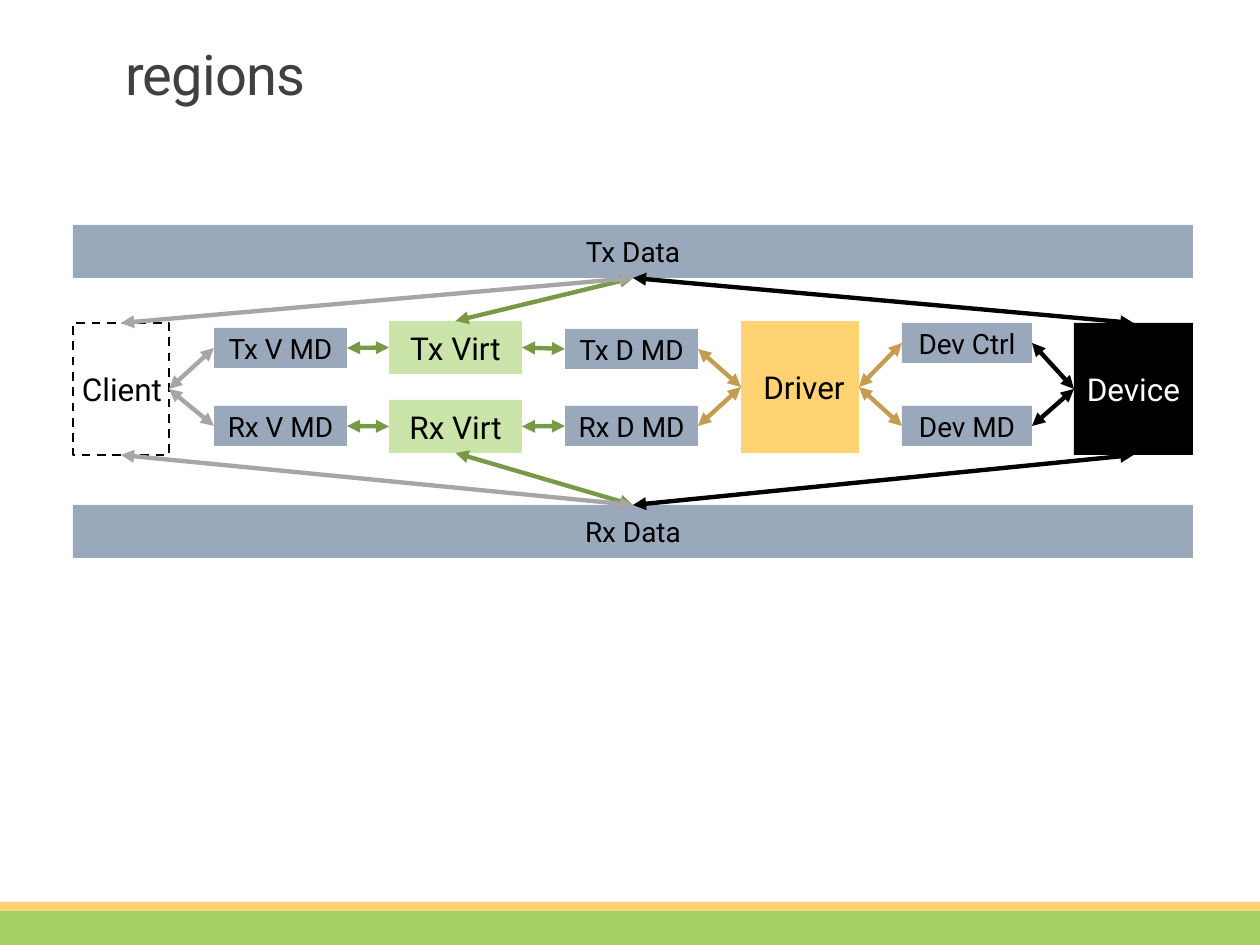
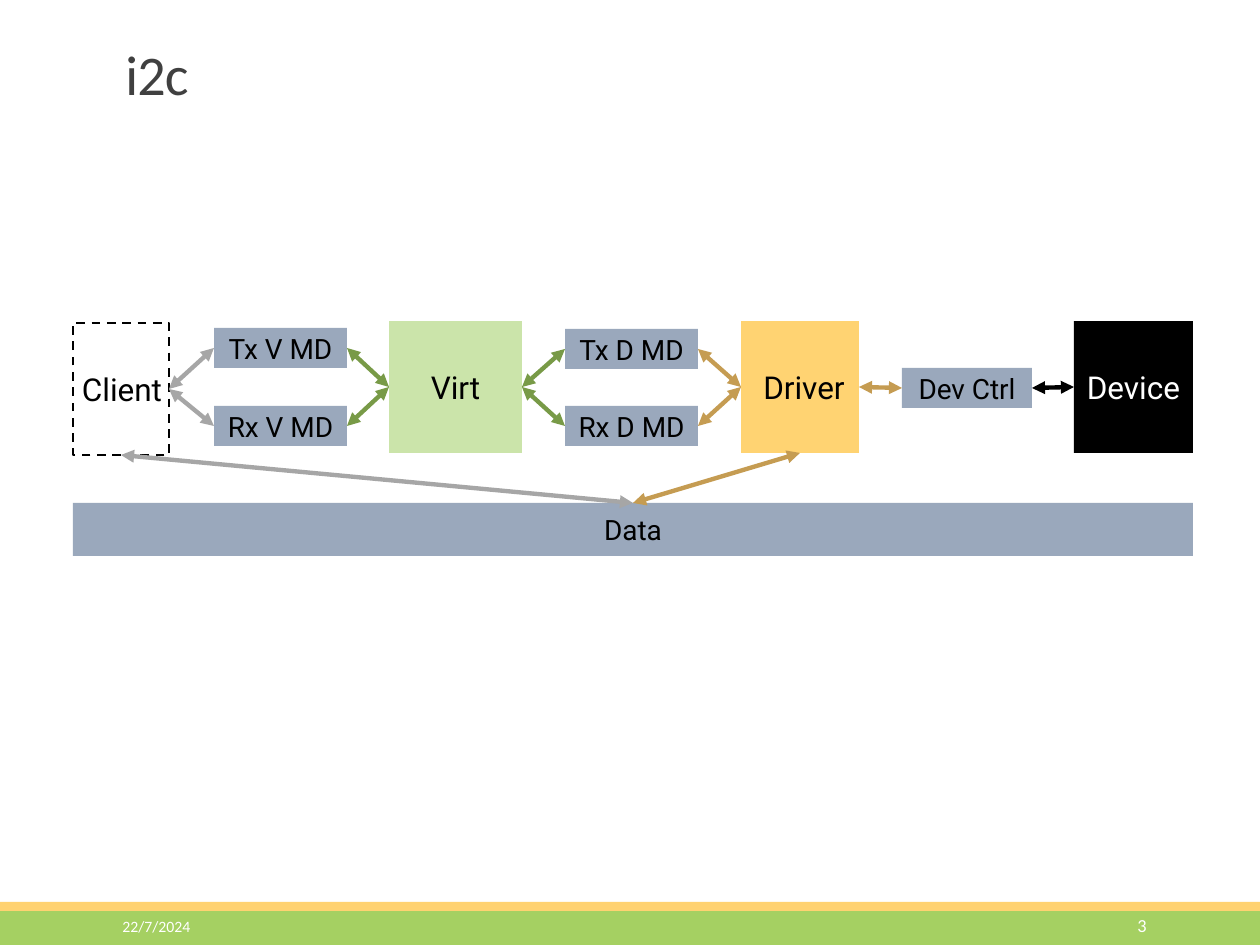
"""Builds two diagrams of the memory regions that driver components share."""

from dataclasses import dataclass, replace
from enum import IntEnum

from pptx import Presentation
from pptx.dml.color import RGBColor
from pptx.enum.dml import MSO_LINE
from pptx.enum.shapes import MSO_CONNECTOR, MSO_SHAPE
from pptx.enum.text import MSO_ANCHOR as ANCHOR, PP_ALIGN as ALIGN
from pptx.oxml.ns import qn
from pptx.oxml.xmlchemy import OxmlElement
from pptx.shapes.autoshape import Shape
from pptx.shapes.connector import Connector
from pptx.slide import Slide
from pptx.util import Emu, Pt

PX_PER_INCH = 126
WIDTH, HEIGHT = 1260, 945

BLACK, WHITE, TITLE_GREY = "000000", "FFFFFF", "404040"
BAND_GREEN, BAND_YELLOW = "A5D062", "FFD271"
REGION_BLUE, VIRT_GREEN, DRIVER_YELLOW = "9AA8BC", "CBE4AA", "FFD372"
CLIENT_LINK, VIRT_LINK, DRIVER_LINK = "A6A6A6", "789A47", "C59C52"
ROBOTO, CALIBRI = "Roboto", "Calibri"


class Side(IntEnum):
    TOP = 0
    LEFT = 1
    BOTTOM = 2
    RIGHT = 3


@dataclass(frozen=True)
class Box:
    name: str
    x: int
    y: int
    w: int
    h: int
    fill: str = REGION_BLUE
    size: int = 16
    color: str = BLACK
    dashed: bool = False
    insets: tuple[int, int] = (12, 12)


@dataclass(frozen=True)
class Link:
    start: str
    start_side: Side
    end: str
    end_side: Side
    color: str


@dataclass(frozen=True)
class Label:
    text: str
    x: int
    y: int
    w: int
    h: int
    size: float
    font: str = CALIBRI
    color: str = WHITE
    align: ALIGN = ALIGN.LEFT
    anchor: ANCHOR = ANCHOR.MIDDLE


def px(value: int) -> Emu:
    return Emu(round(value * 914400 / PX_PER_INCH))


def rgb(color: str) -> RGBColor:
    return RGBColor.from_string(color)


def set_text(sp: Shape, text: str, size: float, font: str, color: str,
             align: ALIGN, anchor: ANCHOR) -> None:
    tf = sp.text_frame
    tf.word_wrap = True
    tf.vertical_anchor = anchor
    p = tf.paragraphs[0]
    p.text = text
    p.alignment = align
    p.font.size = Pt(size)
    p.font.name = font
    p.font.color.rgb = rgb(color)


def add_rect(s: Slide, x: int, y: int, w: int, h: int, fill: str) -> Shape:
    sp = s.shapes.add_shape(MSO_SHAPE.RECTANGLE, px(x), px(y), px(w), px(h))
    sp.shadow.inherit = False
    sp.fill.solid()
    sp.fill.fore_color.rgb = rgb(fill)
    sp.line.fill.background()
    return sp


def add_box(s: Slide, box: Box) -> Shape:
    sp = add_rect(s, box.x, box.y, box.w, box.h, box.fill)
    if box.dashed:
        sp.line.color.rgb = rgb(BLACK)
        sp.line.width = Pt(1.25)
        sp.line.dash_style = MSO_LINE.DASH
    set_text(sp, box.name, box.size, ROBOTO, box.color, ALIGN.CENTER, ANCHOR.MIDDLE)
    tf = sp.text_frame
    tf.margin_left, tf.margin_right = map(px, box.insets)
    return sp


def add_link(s: Slide, link: Link, shapes: dict[str, Shape]) -> Connector:
    cxn = s.shapes.add_connector(MSO_CONNECTOR.STRAIGHT, 0, 0, 0, 0)
    cxn.begin_connect(shapes[link.start], link.start_side)
    cxn.end_connect(shapes[link.end], link.end_side)
    cxn.line.color.rgb = rgb(link.color)
    cxn.line.width = Pt(2.5)
    ln = cxn.line._get_or_add_ln()
    for tag in ("a:headEnd", "a:tailEnd"):
        arrow = OxmlElement(tag)
        arrow.set("type", "triangle")
        ln.append(arrow)
    cxn._element.find(qn("p:spPr")).append(OxmlElement("a:effectLst"))
    return cxn


def add_label(s: Slide, label: Label) -> Shape:
    sp = s.shapes.add_textbox(px(label.x), px(label.y), px(label.w), px(label.h))
    set_text(sp, label.text, label.size, label.font, label.color, label.align, label.anchor)
    return sp


def add_title(s: Slide, text: str, font: str) -> None:
    sp = add_label(s, Label(text, 113, 44, 784, 69, 32, font, TITLE_GREY,
                            anchor=ANCHOR.BOTTOM))
    p = sp.text_frame.paragraphs[0]
    p.line_spacing = 0.85
    p.runs[0]._r.get_or_add_rPr().set("spc", "-50")


def add_diagram(prs: Presentation, title: str, font: str,
                boxes: list[Box], links: list[Link]) -> Slide:
    s = prs.slides.add_slide(prs.slide_layouts[6])
    add_rect(s, 0, 908, WIDTH, HEIGHT - 908, BAND_GREEN)
    add_rect(s, 0, 902, WIDTH, 9, BAND_YELLOW)
    add_title(s, title, font)
    shapes = {box.name: add_box(s, box) for box in boxes}
    for link in links:
        add_link(s, link, shapes)
    return s


def data_bar(name: str, y: int) -> Box:
    return Box(name, 73, y, 1120, 53)


def virt(name: str, y: int, h: int) -> Box:
    return Box(name, 389, y, 133, h, VIRT_GREEN, 18)


DEVICE = Box("Device", 1074, 323, 119, 132, BLACK, 18, WHITE)
DEV_CTRL = Box("Dev Ctrl", 902, 323, 130, 40)
SHARED_BOXES = [
    Box("Client", 73, 323, 96, 132, WHITE, 18, dashed=True, insets=(6, 4)),
    Box("Driver", 741, 321, 118, 132, DRIVER_YELLOW, 18, insets=(20, 12)),
    Box("Tx V MD", 214, 328, 133, 40),
    Box("Rx V MD", 214, 406, 133, 40),
    Box("Tx D MD", 565, 329, 133, 40),
    Box("Rx D MD", 565, 406, 133, 40),
]


def metadata_links(tx_virt: str, rx_virt: str) -> list[Link]:
    links = []
    for way, virt_name in (("Tx", tx_virt), ("Rx", rx_virt)):
        virt_md, driver_md = f"{way} V MD", f"{way} D MD"
        links += [
            Link(virt_md, Side.LEFT, "Client", Side.RIGHT, CLIENT_LINK),
            Link(virt_name, Side.LEFT, virt_md, Side.RIGHT, VIRT_LINK),
            Link(driver_md, Side.LEFT, virt_name, Side.RIGHT, VIRT_LINK),
            Link("Driver", Side.LEFT, driver_md, Side.RIGHT, DRIVER_LINK),
        ]
    return links


def device_links(region: str) -> list[Link]:
    return [
        Link(region, Side.LEFT, "Driver", Side.RIGHT, DRIVER_LINK),
        Link("Device", Side.LEFT, region, Side.RIGHT, BLACK),
    ]


def add_regions_slide(prs: Presentation) -> None:
    boxes = SHARED_BOXES + [
        DEVICE,
        DEV_CTRL,
        replace(DEV_CTRL, name="Dev MD", y=406),
        virt("Tx Virt", 321, 53),
        virt("Rx Virt", 400, 53),
        data_bar("Tx Data", 225),
        data_bar("Rx Data", 505),
    ]
    links = metadata_links("Tx Virt", "Rx Virt")
    links += device_links("Dev Ctrl") + device_links("Dev MD")
    for way, bar_side, side in (("Tx", Side.BOTTOM, Side.TOP),
                                ("Rx", Side.TOP, Side.BOTTOM)):
        users = ((f"{way} Virt", VIRT_LINK), ("Device", BLACK), ("Client", CLIENT_LINK))
        links += [Link(f"{way} Data", bar_side, user, side, color) for user, color in users]
    add_diagram(prs, "regions", ROBOTO, boxes, links)


def add_i2c_slide(prs: Presentation) -> None:
    boxes = SHARED_BOXES + [
        replace(DEVICE, y=321),
        replace(DEV_CTRL, y=368),
        virt("Virt", 321, 132),
        data_bar("Data", 503),
    ]
    links = metadata_links("Virt", "Virt") + device_links("Dev Ctrl") + [
        Link("Driver", Side.BOTTOM, "Data", Side.TOP, DRIVER_LINK),
        Link("Data", Side.TOP, "Client", Side.BOTTOM, CLIENT_LINK),
    ]
    s = add_diagram(prs, "i2c", CALIBRI, boxes, links)
    add_label(s, Label("22/7/2024", 110, 911, 256, 30, 9))
    add_label(s, Label("3", 1023, 911, 136, 29, 10.5, align=ALIGN.RIGHT))


def main() -> None:
    prs = Presentation()
    prs.slide_width, prs.slide_height = px(WIDTH), px(HEIGHT)
    add_regions_slide(prs)
    add_i2c_slide(prs)
    prs.save("out.pptx")


if __name__ == "__main__":
    main()
